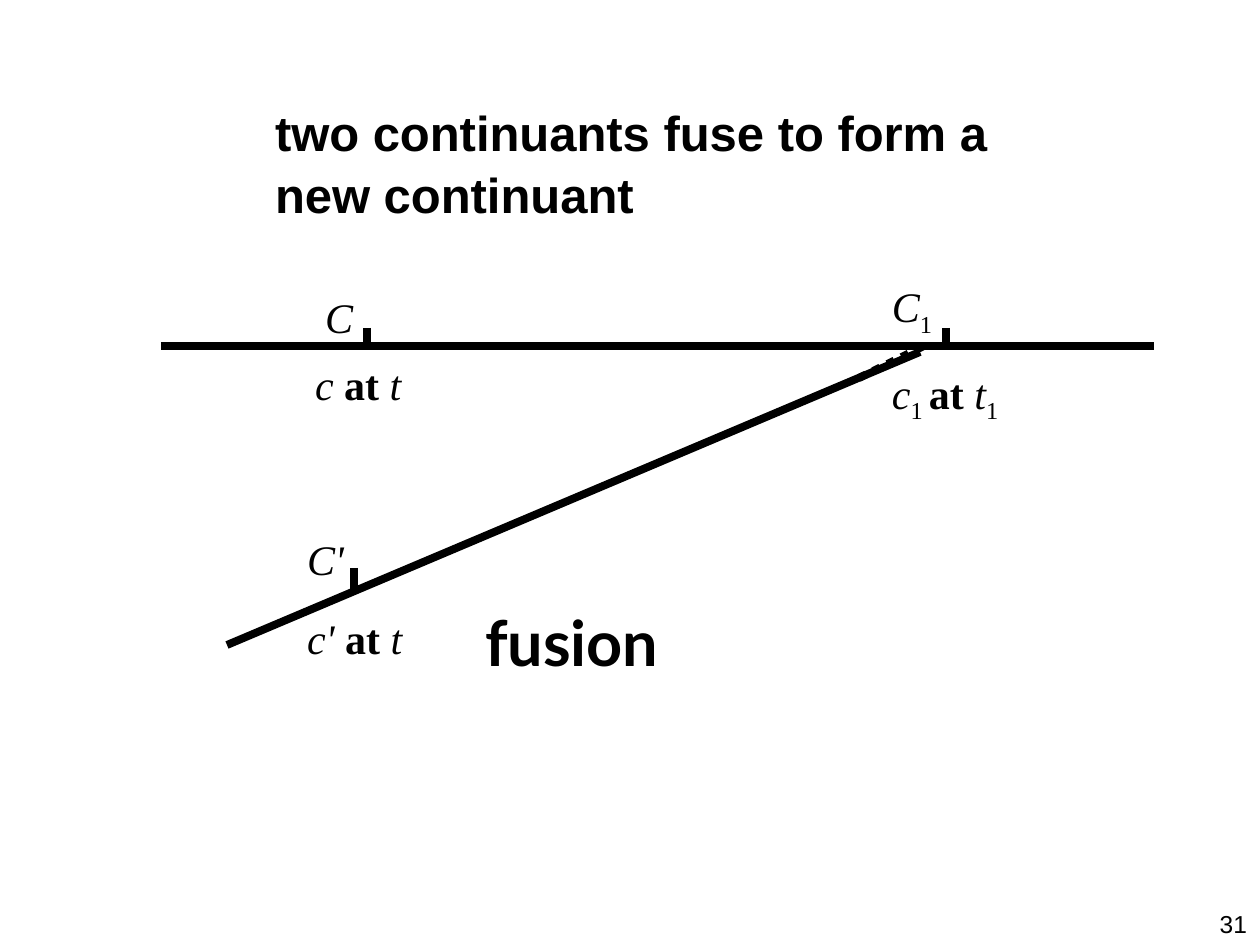
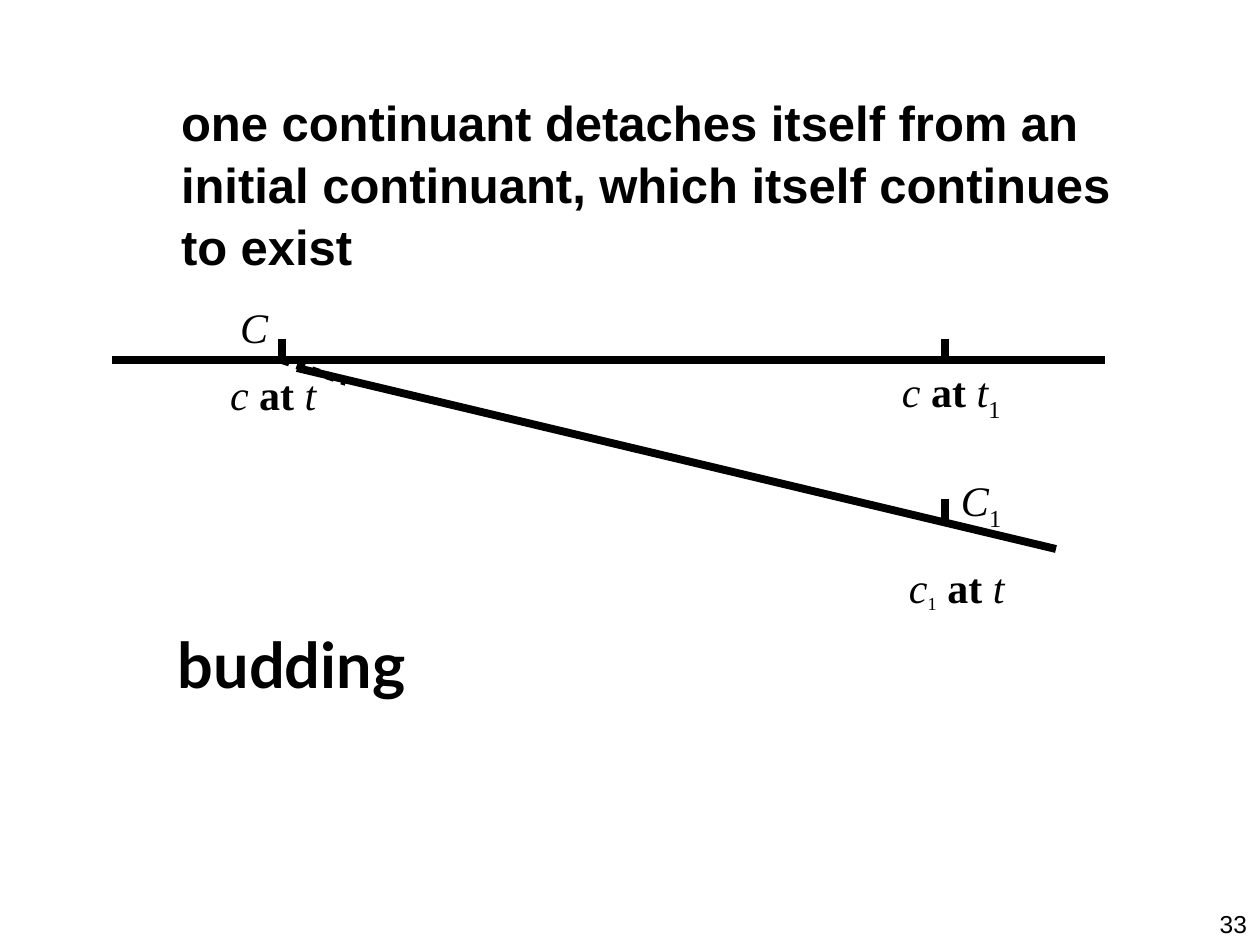
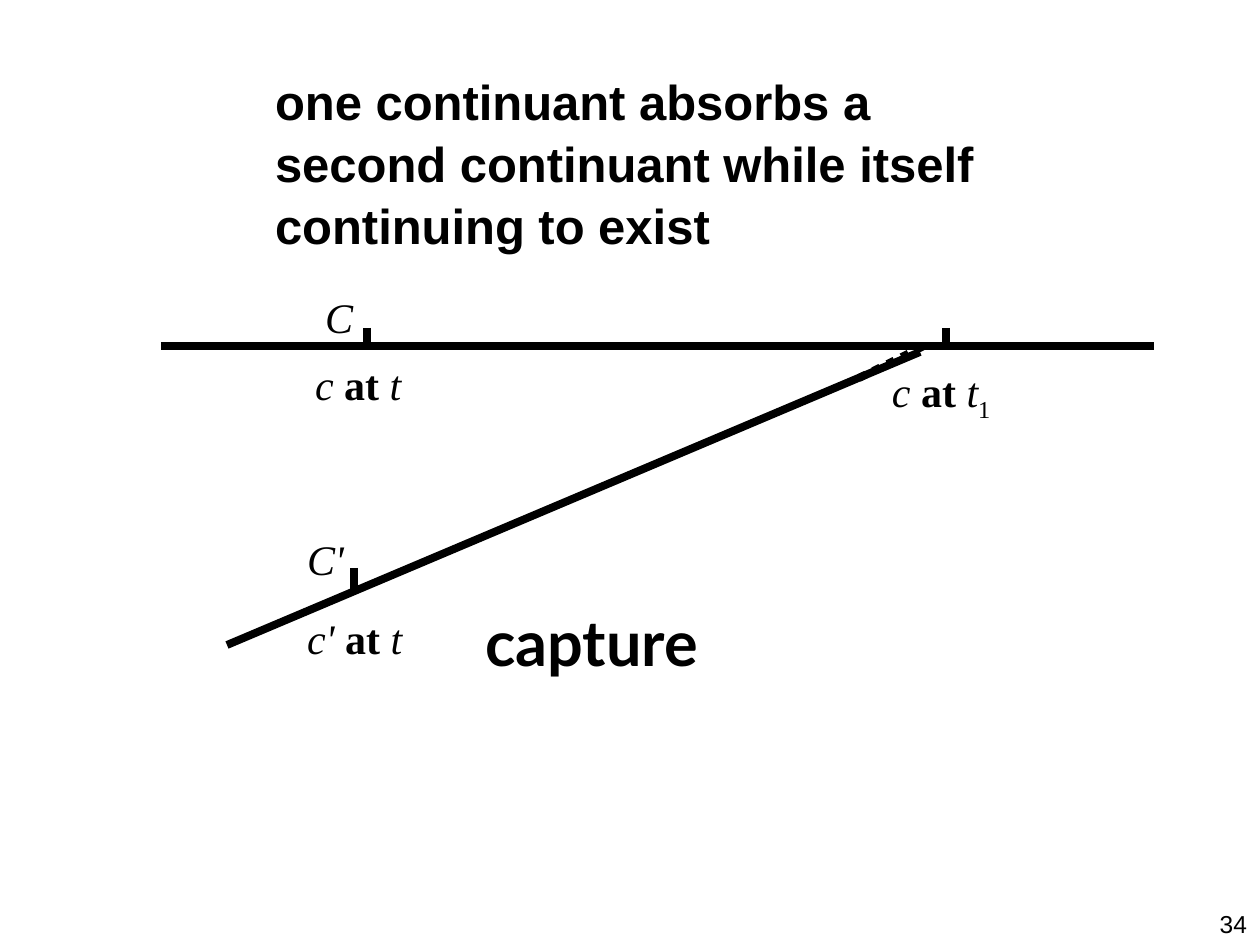
from dataclasses import dataclass

from lxml.etree import SubElement
from pptx import Presentation
from pptx.dml.color import RGBColor
from pptx.enum.dml import MSO_LINE
from pptx.enum.shapes import MSO_CONNECTOR
from pptx.enum.text import MSO_ANCHOR, MSO_AUTO_SIZE, PP_ALIGN
from pptx.oxml.ns import qn
from pptx.util import Pt


@dataclass(frozen=True)
class Theme:
    """Colours, fonts and type sizes shared by the slides."""
    ink: RGBColor = RGBColor(0, 0, 0)
    title_font: str = "Arial"
    label_font: str = "Times New Roman"
    name_font: str = "Lato"
    title_size: int = 28
    label_size: int = 24
    small_index_size: int = 18
    name_size: int = 36
    number_size: int = 14
    line_width: float = 4.5
    leading: float = 1.05


THEME = Theme()
EMU_PER_PX = 914400 / 126
SLIDE_SIZE = (1260, 945)
TITLE_ONLY = 5
VARIABLE, WORD, INDEX, SMALL_INDEX = "variable", "word", "index", "small index"

C = [("C", VARIABLE)]
C_PRIME = [("C'", VARIABLE)]
C_1 = [("C", VARIABLE), ("1", INDEX)]
C_AT_T = [("c ", VARIABLE), ("at ", WORD), ("t", VARIABLE)]
C_PRIME_AT_T = [("c' ", VARIABLE), *C_AT_T[1:]]
C_AT_T1 = [*C_AT_T, ("1", INDEX)]
C1_AT_T1 = [("c", VARIABLE), ("1 ", INDEX), *C_AT_T1[1:]]
C1_AT_T = [("c", VARIABLE), ("1", SMALL_INDEX), (" ", VARIABLE), *C_AT_T[1:]]


def px(length):
    """Turn pixels into EMU."""
    return round(length * EMU_PER_PX)


def place(shape, box):
    """Move and size a shape."""
    shape.left, shape.top, shape.width, shape.height = map(px, box)


def prepare_frame(shape, inset=(13, 6)):
    """Set up wrapping, anchor and insets of a text frame."""
    frame = shape.text_frame
    frame.word_wrap = True
    frame.auto_size = MSO_AUTO_SIZE.NONE
    frame.vertical_anchor = MSO_ANCHOR.TOP
    frame.margin_left = frame.margin_right = px(inset[0])
    frame.margin_top = frame.margin_bottom = px(inset[1])
    return frame


def add_run(paragraph, text, font_name, size, bold=False, italic=False):
    """Add one formatted run."""
    run = paragraph.add_run()
    run.text = text
    font = run.font
    font.name, font.size, font.bold, font.italic = font_name, Pt(size), bold, italic
    font.color.rgb = THEME.ink
    return run


def add_title(slide, text, box):
    """Fill the title placeholder with the definition."""
    place(slide.shapes.title, box)
    paragraph = prepare_frame(slide.shapes.title).paragraphs[0]
    paragraph.alignment = PP_ALIGN.LEFT
    paragraph.line_spacing = THEME.leading
    add_run(paragraph, text, THEME.title_font, THEME.title_size, bold=True)


def add_caption(slide, text, box, font_name, size, bold=False, align=PP_ALIGN.LEFT):
    """Add a one-line text box."""
    caption = slide.shapes.add_textbox(*map(px, box))
    paragraph = prepare_frame(caption).paragraphs[0]
    paragraph.alignment = align
    add_run(paragraph, text, font_name, size, bold)


def add_process_name(slide, text, left, top):
    """Name the process shown in the diagram."""
    add_caption(slide, text, (left, top, 472, 88), THEME.name_font, THEME.name_size, True)


def add_slide_number(slide, number):
    """Add the slide number in the lower right corner."""
    add_caption(slide, str(number), (1040, 903, 220, 42), THEME.title_font,
                THEME.number_size, align=PP_ALIGN.RIGHT)


def add_label(slide, rows, box, gap=15, indent=0, inset=(10, 5)):
    """Add a label whose first row may be indented."""
    frame = prepare_frame(slide.shapes.add_textbox(*map(px, box)), inset)
    for index, row in enumerate(rows):
        paragraph = frame.add_paragraph() if index else frame.paragraphs[0]
        paragraph.line_spacing = THEME.leading
        if index < len(rows) - 1:
            paragraph.space_after = Pt(gap)
        if indent and index == 0:
            paragraph._p.get_or_add_pPr().set("marL", str(px(indent)))
        for text, style in row:
            size = THEME.small_index_size if style == SMALL_INDEX else THEME.label_size
            run = add_run(paragraph, text, THEME.label_font, size,
                          bold=style == WORD, italic=style == VARIABLE)
            if style in (INDEX, SMALL_INDEX):
                run._r.get_or_add_rPr().set("baseline", "-25000")


def add_line(slide, start, end, dash=None):
    """Draw a heavy straight line."""
    line = slide.shapes.add_connector(MSO_CONNECTOR.STRAIGHT, *map(px, (*start, *end)))
    line.line.color.rgb = THEME.ink
    line.line.width = Pt(THEME.line_width)
    if dash:
        line.line.dash_style = dash
    SubElement(line._element.spPr, qn("a:effectLst"))


def add_histories(slide, main, branch, junction, ticks):
    """Draw the main history, its branch, their junction and the time ticks."""
    add_line(slide, *main)
    add_line(slide, *branch)
    add_line(slide, *junction, dash=MSO_LINE.ROUND_DOT)
    for x, top in ticks:
        add_line(slide, (x, top), (x, top + 21))


def add_joining_diagram(slide, name):
    """Draw a second continuant running into the main one."""
    add_histories(slide, ((161, 346), (1154, 346)), ((227, 645), (920, 352)),
                  ((859, 378), (924, 346)), ((367, 328), (946, 328), (354, 568)))
    add_label(slide, [C, C_AT_T], (305, 284, 134, 141), gap=8, indent=10)
    add_label(slide, [C_PRIME, C_PRIME_AT_T], (294, 525, 210, 140), inset=(13, 6))
    add_process_name(slide, name, 472, 598)


def add_budding_diagram(slide):
    """Draw a new continuant leaving the main one."""
    add_histories(slide, ((112, 360), (1105, 360)), ((297, 368), (1056, 549)),
                  ((282, 360), (346, 382)), ((282, 339), (945, 339), (945, 499)))
    add_label(slide, [C, C_AT_T], (220, 294, 134, 141), gap=8, indent=10)
    add_label(slide, [C_AT_T1], (892, 358, 151, 64))
    add_label(slide, [C_1, C1_AT_T], (896, 466, 210, 150), indent=52, inset=(13, 6))
    add_process_name(slide, "budding", 165, 620)


def add_slide(deck, title, title_box, number):
    """Add a slide with its title and number."""
    slide = deck.slides.add_slide(deck.slide_layouts[TITLE_ONLY])
    add_title(slide, title, title_box)
    add_slide_number(slide, number)
    return slide


def main():
    """Build and save the deck."""
    deck = Presentation()
    deck.slide_width, deck.slide_height = map(px, SLIDE_SIZE)

    fusion = add_slide(deck, "two continuants fuse to form a new continuant",
                       (262, 94, 766, 130), 31)
    add_joining_diagram(fusion, "fusion")
    add_label(fusion, [C_1, C1_AT_T1], (882, 273, 151, 169))

    budding = add_slide(deck, "one continuant detaches itself from an initial continuant, "
                        "which itself continues to exist", (168, 84, 1008, 130), 33)
    add_budding_diagram(budding)

    capture = add_slide(deck, "one continuant absorbs a second continuant while itself "
                        "continuing to exist", (262, 63, 766, 130), 34)
    add_joining_diagram(capture, "capture")
    add_label(capture, [C_AT_T1], (882, 358, 151, 64))

    deck.save("out.pptx")


if __name__ == "__main__":
    main()
